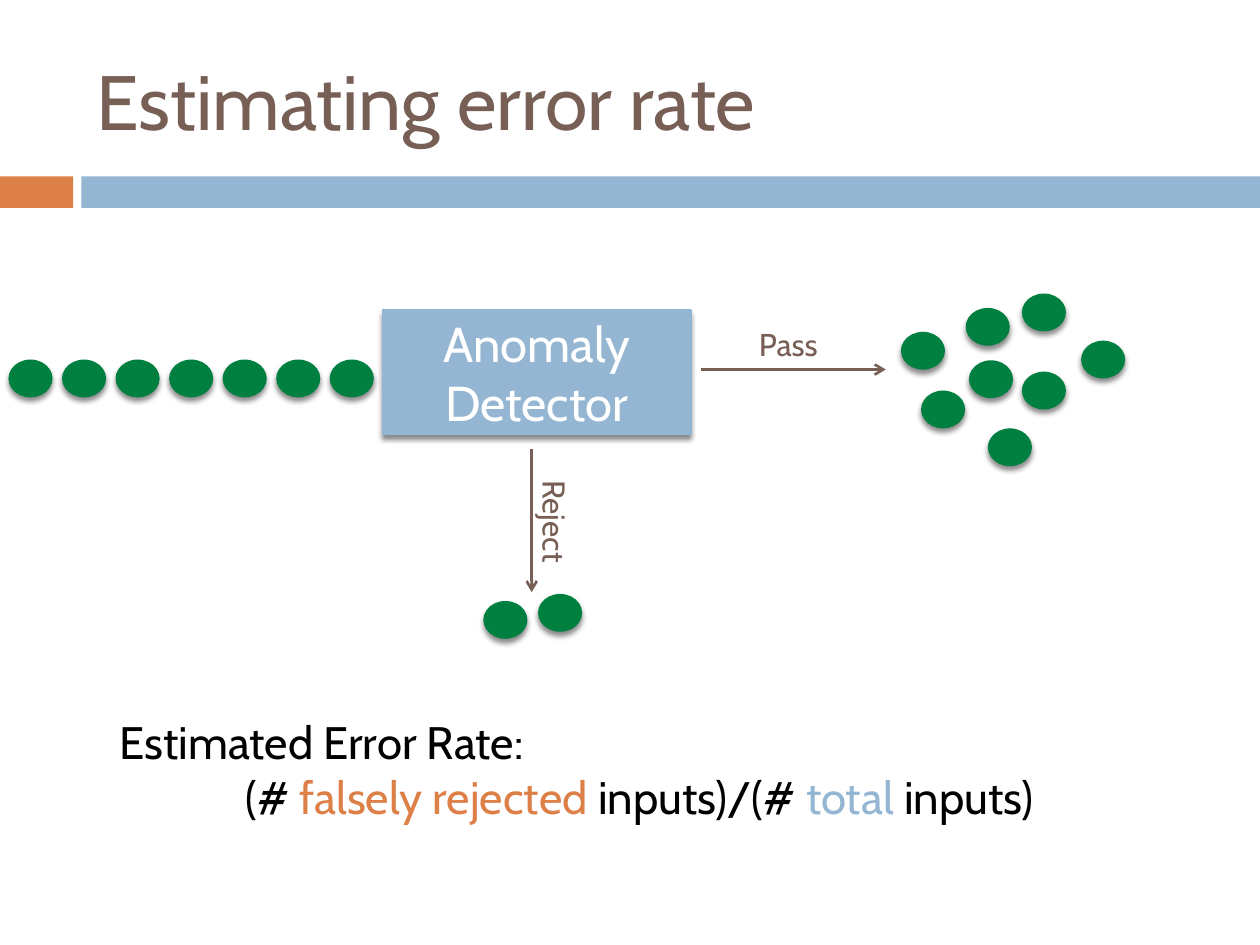
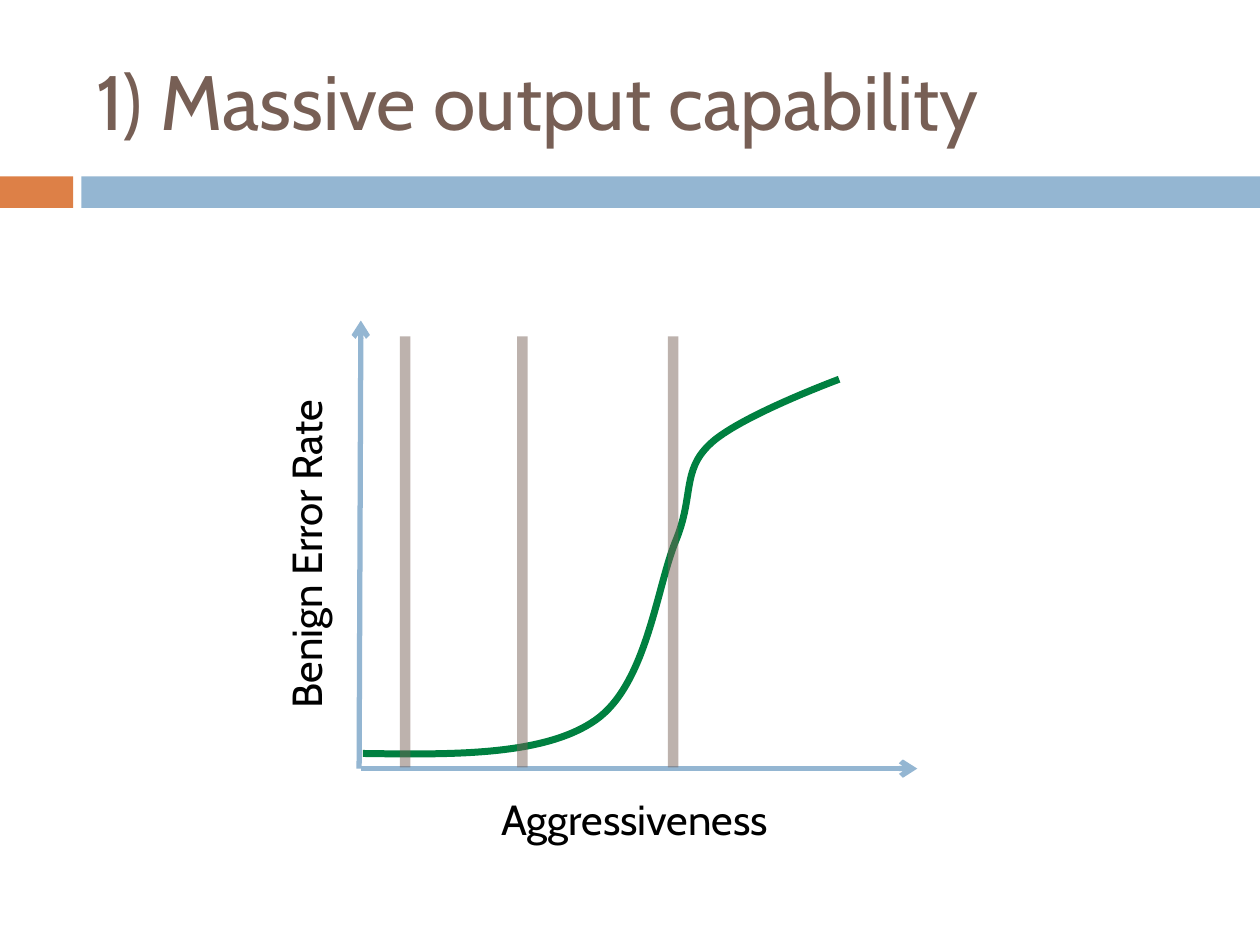
from lxml import etree
from pptx import Presentation
from pptx import util as u
from pptx.dml.color import RGBColor
from pptx.enum import shapes, text
from pptx.oxml import ns

FONT = "Cabin"
BROWN, ORANGE, BLUE = "775F55", "DD8047", "94B6D2"
GREEN, BLACK, WHITE = "008040", "000000", "FFFFFF"
COLS, ROWS = 100, 75


def rgb(color):
    return RGBColor.from_string(color)


def sub(parent, tag, **attrs):
    """Append a DrawingML child element."""
    return etree.SubElement(parent, ns.qn(tag), **attrs)


class Deck:
    """House style plus the current slide; lengths are grid columns and rows."""

    def __init__(self):
        self.prs = Presentation()
        self.prs.slide_width, self.prs.slide_height = u.Inches(10), u.Inches(7.5)
        self.s = None

    def x(self, cols):
        return round(self.prs.slide_width * cols / COLS)

    def y(self, rows):
        return round(self.prs.slide_height * rows / ROWS)

    def box(self, left, top, width, height):
        return self.x(left), self.y(top), self.x(width), self.y(height)

    def slide(self, title):
        self.s = self.prs.slides.add_slide(self.prs.slide_layouts[6])
        self.shape((0, 14, 5.8, 2.5), ORANGE)
        self.shape((6.46, 14, 93.54, 2.5), BLUE)
        sp = self.text((6.67, 2.5, 89.2, 10.8), [[(title, BROWN)]], 44)
        sp.text_frame.vertical_anchor = text.MSO_ANCHOR.MIDDLE

    def shape(self, at, fill, kind=shapes.MSO_SHAPE.RECTANGLE, raised=False, parent=None):
        sp = (parent or self.s).shapes.add_shape(kind, *self.box(*at))
        sp.fill.solid()
        sp.fill.fore_color.rgb = rgb(fill)
        sp.line.fill.background()
        sp.shadow.inherit = False
        if raised:
            effects = sp._element.spPr.find(ns.qn("a:effectLst"))
            shadow = sub(effects, "a:outerShdw", blurRad="38100", dist="30480",
                         dir="5400000", rotWithShape="0")
            sub(sub(shadow, "a:srgbClr", val=BLACK), "a:alpha", val="45000")
        return sp

    def dot(self, left, top, parent=None):
        self.shape((left, top, 3.5, 3), GREEN, shapes.MSO_SHAPE.OVAL, True, parent)

    def block(self, at, label):
        sp = self.shape(at, BLUE, raised=True)
        sp.line.color.rgb = rgb(BLUE)
        sp.line.width = u.Pt(0.79)
        tf = sp.text_frame
        tf.word_wrap = True
        tf.vertical_anchor = text.MSO_ANCHOR.MIDDLE
        self.fill_paragraph(tf.paragraphs[0], [(label, WHITE)], 28)
        tf.paragraphs[0].alignment = text.PP_ALIGN.CENTER

    def fill_paragraph(self, p, runs, size):
        if runs[0][0].startswith("\t"):
            tabs = sub(p._p.get_or_add_pPr(), "a:tabLst")
            sub(tabs, "a:tab", pos=str(self.x(10)), algn="l")
        p.font.name, p.font.size = FONT, u.Pt(size)
        for words, color in runs:
            r = p.add_run()
            r.text = words
            r.font.color.rgb = rgb(color)

    def text(self, at, paragraphs, size, rotation=0):
        """Each paragraph is a list of (words, color) runs."""
        sp = self.s.shapes.add_textbox(*self.box(*at))
        sp.rotation = rotation
        tf = sp.text_frame
        tf.word_wrap = True
        for i, runs in enumerate(paragraphs):
            p = tf.add_paragraph() if i else tf.paragraphs[0]
            self.fill_paragraph(p, runs, size)
        return sp

    def line(self, start, end, color, width, arrow=False, alpha=None):
        ends = [f(v) for point in (start, end) for f, v in zip((self.x, self.y), point)]
        cxn = self.s.shapes.add_connector(shapes.MSO_CONNECTOR.STRAIGHT, *ends)
        cxn.line.color.rgb = rgb(color)
        cxn.line.width = u.Pt(width)
        ln = cxn.line._get_or_add_ln()
        if alpha:
            sub(ln.find(".//" + ns.qn("a:srgbClr")), "a:alpha", val=str(alpha * 1000))
        if arrow:
            sub(ln, "a:tailEnd", type="arrow")
        sub(cxn._element.spPr, "a:effectLst")

    def curve(self, points, color, width):
        """Cubic curve: a start point, then two controls and an end per segment."""
        start, *rest = [(self.x(px), self.y(py)) for px, py in points]
        builder = self.s.shapes.build_freeform(*start)
        builder.add_line_segments(rest, close=False)
        sp = builder.convert_to_shape()
        outline = sp._element.find(".//" + ns.qn("a:path"))
        steps = outline.findall(ns.qn("a:lnTo"))
        for i in range(0, len(steps), 3):
            bezier = sub(outline, "a:cubicBezTo")
            for step in steps[i:i + 3]:
                bezier.append(step[0])
                outline.remove(step)
        sp.fill.background()
        sp.line.color.rgb = rgb(color)
        sp.line.width = u.Pt(width)
        sp.shadow.inherit = False


def error_rate_slide(d):
    d.slide("Estimating error rate")
    d.text((8.5, 56.2, 88.4, 9.8), [
        [("Estimated Error Rate:", BLACK)],
        [("\t(# ", BLACK), ("falsely rejected ", ORANGE), ("inputs)/(# ", BLACK),
         ("total", BLUE), (" inputs)", BLACK)],
    ], 26)
    d.line((42.2, 35.6), (42.2, 47), BROWN, 1.5, arrow=True)
    d.line((55.6, 29.33), (70.3, 29.33), BROWN, 1.5, arrow=True)
    d.text((59.25, 25.3, 13.2, 4), [[("Pass", BROWN)]], 18)
    d.text((37.45, 41.75, 13.2, 4), [[("Reject", BROWN)]], 18, rotation=90)

    queue = d.s.shapes.add_group_shape()
    for i in range(7):
        d.dot(0.67 + 4.25 * i, 28.54, queue)
    d.block((30.34, 24.6, 24.5, 9.9), "Anomaly Detector")

    passed = [(71.5, 26.34), (76.64, 24.44), (81.1, 29.5), (81.1, 23.3),
              (76.9, 28.6), (73.1, 31), (78.4, 34), (85.8, 27.04)]
    rejected = [(42.7, 47.14), (38.36, 47.7)]
    for left, top in passed + rejected:
        d.dot(left, top)


def output_slide(d):
    d.slide("1) Massive output capability")
    d.line((28.5, 61), (28.64, 25.44), BLUE, 3, arrow=True)
    d.line((28.64, 61), (72.8, 61), BLUE, 3, arrow=True)
    d.text((38.8, 62.5, 30.8, 5), [[("Aggressiveness", BLACK)]], 24)
    d.text((8.85, 39.3, 30.8, 5), [[("Benign Error Rate", BLACK)]], 24, rotation=270)
    d.curve([(28.8, 59.8),
             (35.9, 59.9), (43.1, 60), (47.2, 57.2),
             (51.3, 54.4), (52.1, 46.7), (53.6, 43),
             (55.1, 39.4), (54.1, 37.4), (56.3, 35.3),
             (58.5, 33.1), (66.6, 30.1), (66.6, 30.1)], GREEN, 4)
    for threshold in (32.16, 53.42, 41.46):
        d.line((threshold, 60.9), (threshold, 26.7), BROWN, 6, alpha=48)


def main():
    d = Deck()
    error_rate_slide(d)
    output_slide(d)
    d.prs.save("out.pptx")


if __name__ == "__main__":
    main()
